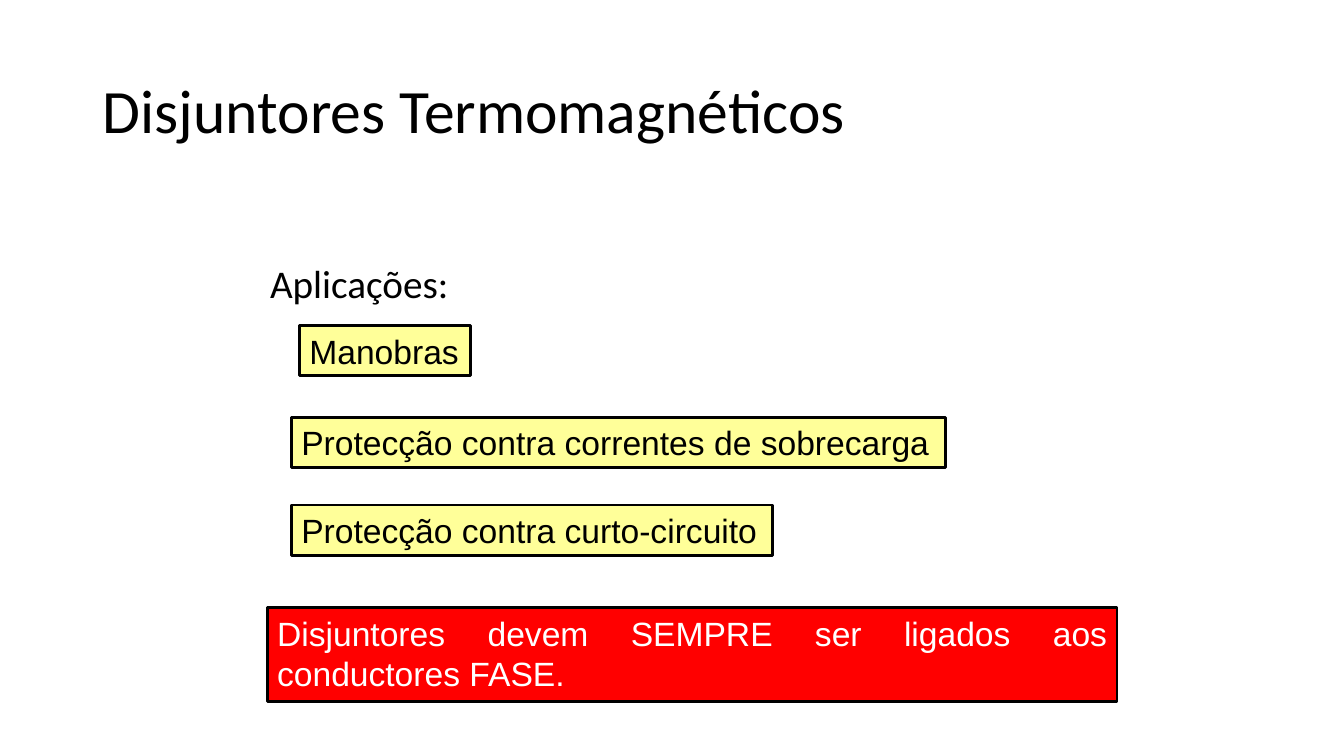
from pptx import Presentation
from pptx.dml.color import RGBColor
from pptx.enum.shapes import MSO_SHAPE
from pptx.enum.text import MSO_ANCHOR, MSO_AUTO_SIZE, PP_ALIGN
from pptx.util import Inches, Pt


class SlideBuilder:
    colors = {"black": "000000", "white": "FFFFFF", "yellow": "FFFF99", "red": "FF0000"}
    heading_font = "Calibri"
    box_font = "Arial"

    def __init__(self, prs):
        self.slide = prs.slides.add_slide(prs.slide_layouts[6])

    def color(self, name):
        return RGBColor.from_string(self.colors[name])

    def add_text(self, tf, text, font, size, color):
        p = tf.paragraphs[0]
        r = p.add_run()
        r.text = text
        r.font.name = font
        r.font.size = Pt(size)
        r.font.color.rgb = self.color(color)
        return p

    def heading(self, text, left, top, width, height, size, anchor=MSO_ANCHOR.TOP):
        sp = self.slide.shapes.add_textbox(
            Inches(left), Inches(top), Inches(width), Inches(height))
        tf = sp.text_frame
        tf.word_wrap = True
        tf.vertical_anchor = anchor
        p = self.add_text(tf, text, self.heading_font, size, "black")
        p.line_spacing = 0.9

    def box(self, text, left, top, width, height=0.5, fill="yellow",
            color="black", align=PP_ALIGN.LEFT, wrap=False):
        sp = self.slide.shapes.add_shape(
            MSO_SHAPE.RECTANGLE,
            Inches(left), Inches(top), Inches(width), Inches(height))
        sp.shadow.inherit = False
        sp.fill.solid()
        sp.fill.fore_color.rgb = self.color(fill)
        sp.line.color.rgb = self.color("black")
        sp.line.width = Pt(2)
        tf = sp.text_frame
        tf.word_wrap = wrap
        tf.auto_size = MSO_AUTO_SIZE.SHAPE_TO_FIT_TEXT
        tf.vertical_anchor = MSO_ANCHOR.TOP
        p = self.add_text(tf, text, self.box_font, 24, color)
        p.alignment = align


def main():
    prs = Presentation()
    prs.slide_width = Inches(13.33)
    prs.slide_height = Inches(7.5)
    s = SlideBuilder(prs)

    s.heading("Disjuntores Termomagnéticos", 0.92, 0.4, 11.5, 1.45, 44, MSO_ANCHOR.MIDDLE)
    s.heading("Aplicações:", 2.58, 2.58, 8.41, 0.61, 28)

    applications = [
        ("Manobras", 2.97, 3.23, 1.7),
        ("Protecção contra correntes de sobrecarga", 2.89, 4.14, 6.49),
        ("Protecção contra curto-circuito", 2.89, 5.01, 4.77),
    ]
    for text, left, top, width in applications:
        s.box(text, left, top, width)

    s.box("Disjuntores devem SEMPRE ser ligados aos conductores FASE.",
          2.65, 6.03, 8.43, 0.93, "red", "white", PP_ALIGN.JUSTIFY, True)

    prs.save("out.pptx")


if __name__ == "__main__":
    main()
